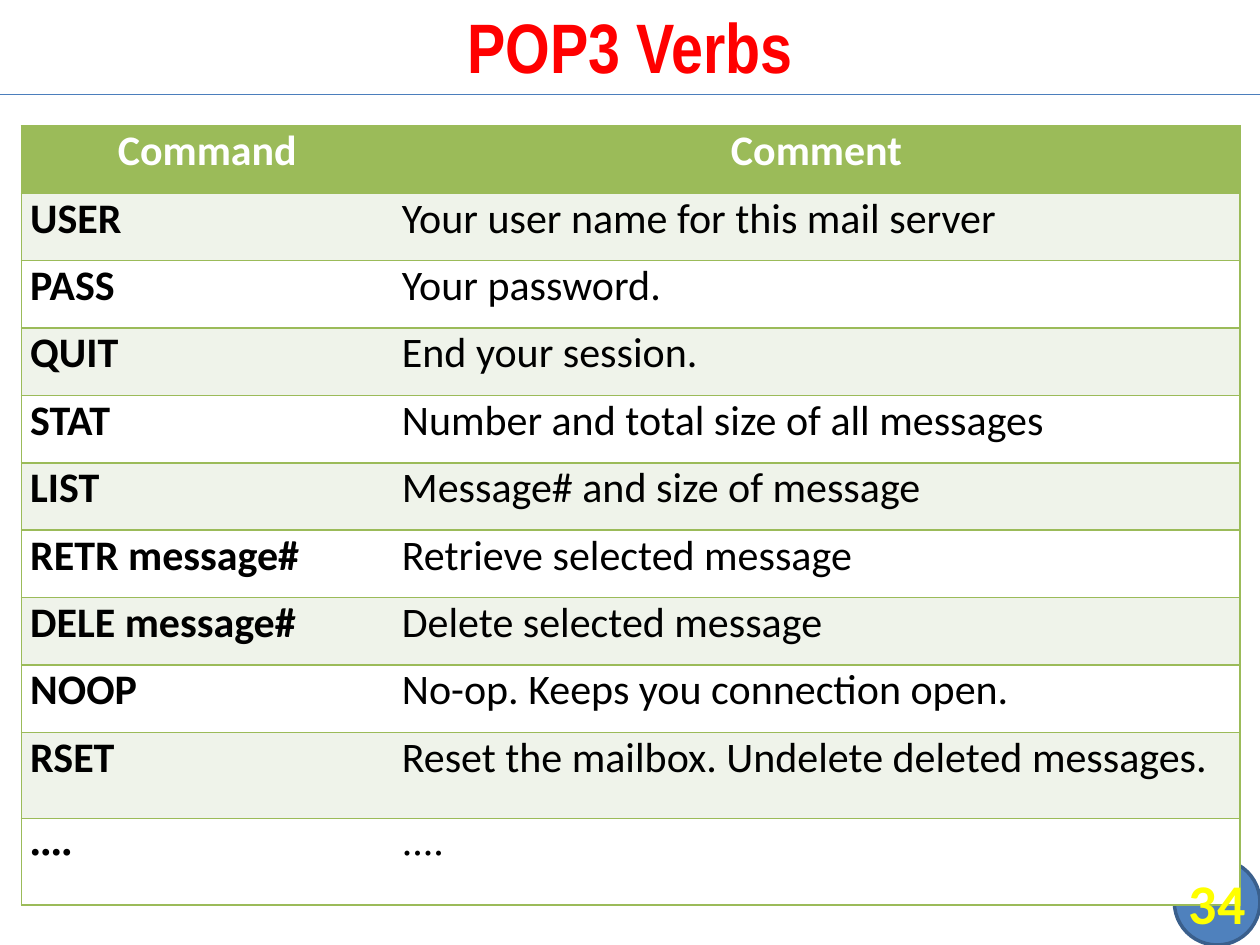
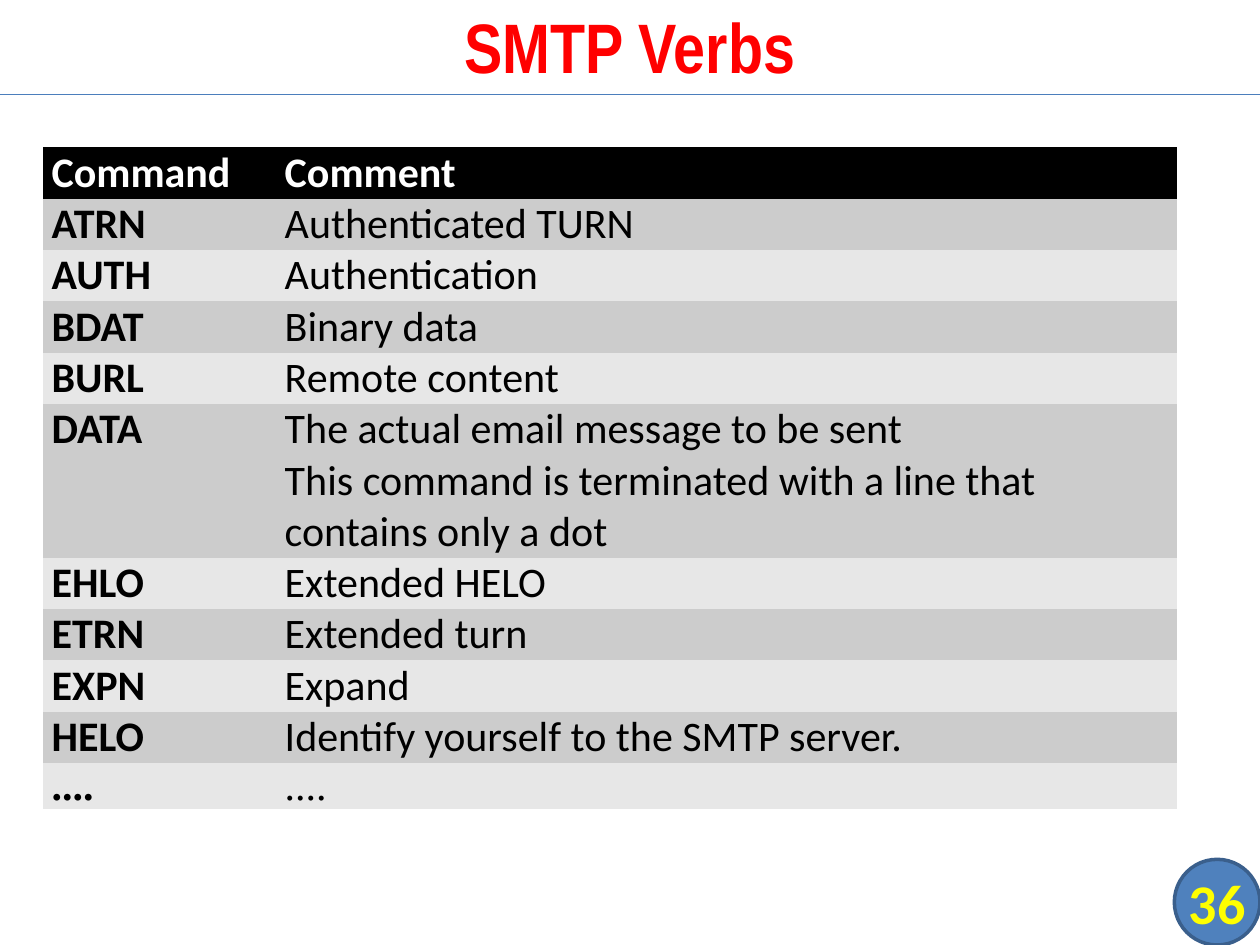
import pptx
import pptx.util
import pptx.oxml
import pptx.oxml.ns
import pptx.dml.color
import pptx.enum.shapes
import pptx.enum.text

Inches = pptx.util.Inches
Pt = pptx.util.Pt
Align = pptx.enum.text.PP_ALIGN

WIDTH, HEIGHT = Inches(10), Inches(7.5)
TITLE_ONLY = 5
RULE_Y = 0.1  # share of the slide's height
BADGE_SIZE = Inches(0.68)
BODY_FONT = "Calibri"
CELL_INSET = Inches(0.07)

COLORS = {
    "title": "FF0000", "rule": "4B7EBC",
    "badge": "4F81BD", "badge_line": "3A5F8C", "badge_text": "FFFF00",
    "header_text": "FFFFFF", "body_text": "000000",
}
GREEN = {"header": "9BBB59", "bands": ("EFF3EA", "FFFFFF"), "border": "9BBB59"}
GRAY = {"header": "000000", "bands": ("CCCCCC", "E7E7E7"), "border": None}

HEADER = ("Command", "Comment")
ELLIPSIS = ("....", "....")
POP3_VERBS = [
    HEADER,
    ("USER", "Your user name for this mail server"),
    ("PASS", "Your password."),
    ("QUIT", "End your session."),
    ("STAT", "Number and total size of all messages"),
    ("LIST", "Message# and size of message"),
    ("RETR message#", "Retrieve selected message"),
    ("DELE message#", "Delete selected message"),
    ("NOOP", "No-op. Keeps you connection open."),
    ("RSET", "Reset the mailbox. Undelete deleted messages."),
    ELLIPSIS,
]
SMTP_VERBS = [
    HEADER,
    ("ATRN", "Authenticated TURN"),
    ("AUTH", "Authentication"),
    ("BDAT", "Binary data"),
    ("BURL", "Remote content"),
    ("DATA", "The actual email message to be sent\n"
             "This command is terminated with a line that contains only a dot"),
    ("EHLO", "Extended HELO"),
    ("ETRN", "Extended turn"),
    ("EXPN", "Expand"),
    ("HELO", "Identify yourself to the SMTP server."),
    ELLIPSIS,
]


def rgb(value):
    return pptx.dml.color.RGBColor.from_string(value)


def write(paragraph, text, size, color, font=BODY_FONT, bold=True, align=Align.LEFT):
    """Add the text run by run, with a line break between its lines."""
    paragraph.alignment = align
    for index, line in enumerate(text.split("\n")):
        if index:
            paragraph.add_line_break()
        run = paragraph.add_run()
        run.text = line
        run.font.size = Pt(size)
        run.font.name = font
        run.font.bold = bold
        run.font.color.rgb = rgb(color)


def center_frame(frame, inset):
    frame.word_wrap = True
    frame.vertical_anchor = pptx.enum.text.MSO_ANCHOR.MIDDLE
    frame.margin_left = frame.margin_right = inset
    frame.margin_top = frame.margin_bottom = inset


def add_title(slide, text):
    title = slide.shapes.title
    title.left, title.top = 0, Inches(-0.03)
    title.width, title.height = WIDTH, Inches(0.78)
    center_frame(title.text_frame, Inches(0.05))
    write(title.text_frame.paragraphs[0], text, 40, COLORS["title"],
          font="Arial Narrow", align=Align.CENTER)


def add_rule(slide):
    y = int(HEIGHT * RULE_Y)
    rule = slide.shapes.add_connector(
        pptx.enum.shapes.MSO_CONNECTOR.STRAIGHT, 0, y, WIDTH, y)
    rule.line.color.rgb = rgb(COLORS["rule"])
    rule.line.width = Pt(0.75)
    properties = rule._element.spPr
    properties.append(properties.makeelement(pptx.oxml.ns.qn("a:effectLst"), {}))


def badge_box():
    return WIDTH - BADGE_SIZE, HEIGHT - BADGE_SIZE, BADGE_SIZE, BADGE_SIZE


def add_badge(slide):
    badge = slide.shapes.add_shape(
        pptx.enum.shapes.MSO_SHAPE.FLOWCHART_CONNECTOR, *badge_box())
    badge.shadow.inherit = False
    badge.fill.solid()
    badge.fill.fore_color.rgb = rgb(COLORS["badge"])
    badge.line.color.rgb = rgb(COLORS["badge_line"])
    badge.line.width = Pt(2)


def add_slide_number(slide, number):
    frame = slide.shapes.add_textbox(*badge_box()).text_frame
    center_frame(frame, 0)
    write(frame.paragraphs[0], str(number), 32, COLORS["badge_text"],
          align=Align.CENTER)


def set_borders(cell, color, sides):
    """Draw the named sides in the colour and hide the others."""
    properties = cell._tc.get_or_add_tcPr()
    for index, side in enumerate("LRTB"):
        if color and side in sides:
            paint = f'<a:solidFill><a:srgbClr val="{color}"/></a:solidFill>'
        else:
            paint = "<a:noFill/>"
        properties.insert(index, pptx.oxml.parse_xml(
            f'<a:ln{side} {pptx.oxml.ns.nsdecls("a")} w="{Pt(1)}">{paint}</a:ln{side}>'))


def add_verb_table(slide, verbs, box, command_width, row_heights, theme, header_align):
    left, top, width = (Inches(value) for value in box)
    table = slide.shapes.add_table(
        len(verbs), 2, left, top, width, Inches(sum(row_heights))).table
    table.columns[0].width = Inches(command_width)
    table.columns[1].width = width - Inches(command_width)
    for row, (texts, height) in enumerate(zip(verbs, row_heights)):
        table.rows[row].height = Inches(height)
        is_header = row == 0
        fill = theme["header"] if is_header else theme["bands"][(row - 1) % 2]
        for column, text in enumerate(texts):
            cell = table.cell(row, column)
            cell.margin_left = cell.margin_right = CELL_INSET
            cell.margin_top = cell.margin_bottom = 0
            cell.fill.solid()
            cell.fill.fore_color.rgb = rgb(fill)
            set_borders(cell, theme["border"], "LTB" if column == 0 else "RTB")
            paragraph = cell.text_frame.paragraphs[0]
            paragraph.space_before = paragraph.space_after = Pt(3)
            write(paragraph, text, 24,
                  COLORS["header_text" if is_header else "body_text"],
                  font="Times New Roman" if texts is ELLIPSIS else BODY_FONT,
                  bold=is_header or column == 0,
                  align=header_align if is_header else Align.LEFT)


def add_verb_slide(presentation, title, number, **table_options):
    slide = presentation.slides.add_slide(presentation.slide_layouts[TITLE_ONLY])
    add_badge(slide)
    add_rule(slide)
    add_verb_table(slide, **table_options)
    add_title(slide, title)
    add_slide_number(slide, number)


def main():
    presentation = pptx.Presentation()
    presentation.slide_width, presentation.slide_height = WIDTH, HEIGHT
    add_verb_slide(
        presentation, "POP3 Verbs", 34, verbs=POP3_VERBS, box=(0.17, 1, 9.67),
        command_width=2.95, row_heights=[0.535] * 9 + [0.685] * 2,
        theme=GREEN, header_align=Align.CENTER)
    # Rows start one line high and grow with their text.
    add_verb_slide(
        presentation, "SMTP Verbs", 36, verbs=SMTP_VERBS, box=(0.34, 1.17, 9),
        command_width=1.85,
        row_heights=[1.22 if "\n" in comment else 0.37 for _, comment in SMTP_VERBS],
        theme=GRAY, header_align=Align.LEFT)
    presentation.save("out.pptx")


if __name__ == "__main__":
    main()
